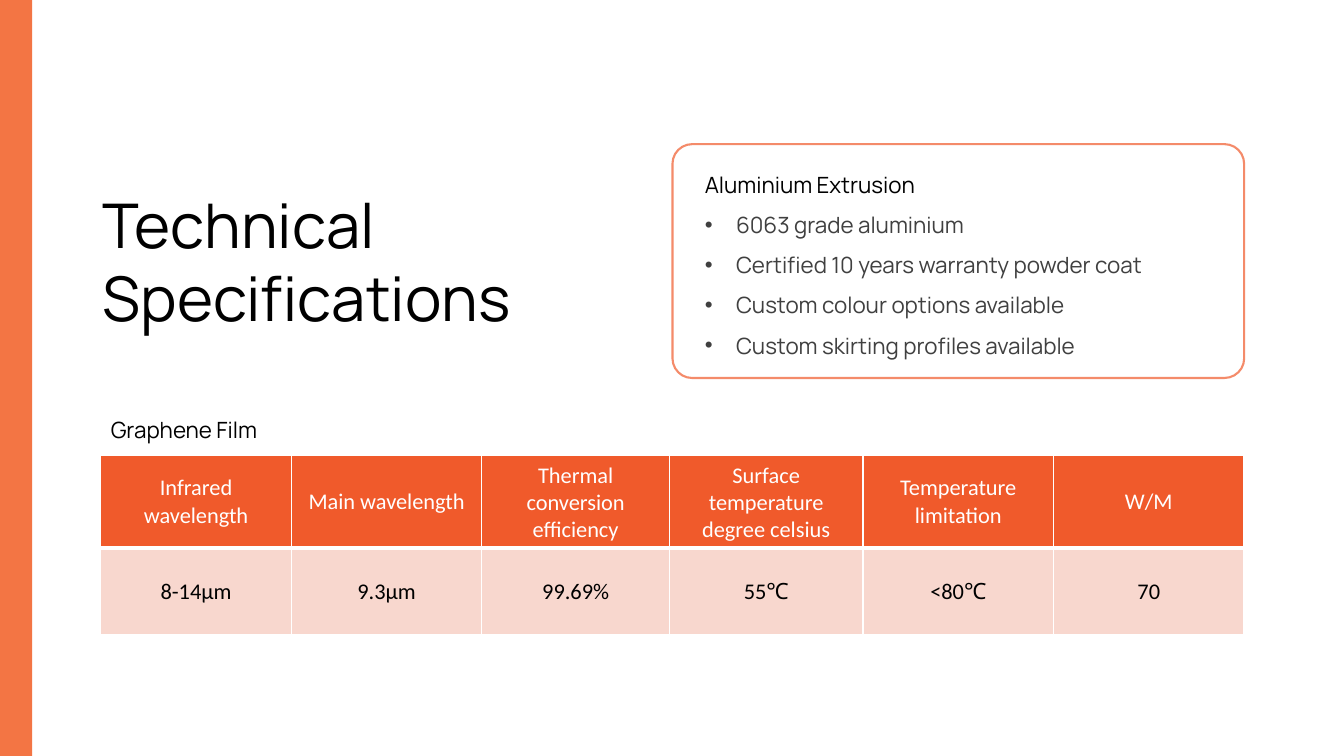
from dataclasses import dataclass

from lxml import etree
from pptx import Presentation
from pptx.dml.color import RGBColor
from pptx.enum.shapes import MSO_SHAPE
from pptx.enum.text import MSO_ANCHOR, MSO_AUTO_SIZE, PP_ALIGN
from pptx.oxml.ns import qn
from pptx.util import Inches, Pt

TOP, MIDDLE = MSO_ANCHOR.TOP, MSO_ANCHOR.MIDDLE
GROW = MSO_AUTO_SIZE.SHAPE_TO_FIT_TEXT
LEFT, CENTER = PP_ALIGN.LEFT, PP_ALIGN.CENTER
RECTANGLE, ROUNDED = MSO_SHAPE.RECTANGLE, MSO_SHAPE.ROUNDED_RECTANGLE


@dataclass(frozen=True)
class Theme:
    accent: str = "F05A2B"
    side: str = "F37544"
    tint: str = "F8D7CE"
    ink: str = "000000"
    soft_ink: str = "404040"
    paper: str = "FFFFFF"
    heading_font: str = "Manrope"
    table_font: str = "Calibri"
    title_size: int = 44
    body_size: int = 16


THEME = Theme()
EXTRUSION_POINTS = [
    "6063 grade aluminium",
    "Certified 10 years warranty powder coat",
    "Custom colour options available",
    "Custom skirting profiles available",
]
FILM_COLUMNS = [
    (1.89, "Infrared\nwavelength", "8-14μm"),
    (1.89, "Main wavelength", "9.3μm"),
    (1.86, "Thermal conversion\nefficiency", "99.69%"),
    (1.92, "Surface temperature\ndegree celsius", "55℃"),
    (1.89, "Temperature\nlimitation", "<80℃"),
    (1.89, "W/M", "70"),
]
FILM_ROWS = [
    (0.92, THEME.accent, THEME.paper, 3),
    (0.86, THEME.tint, THEME.ink, 1),
]


def rgb(code):
    return RGBColor.from_string(code)


def apply(target, formats):
    for attribute, value in formats.items():
        setattr(target, attribute, value)


def place(part, box):
    apply(part, dict(zip(("left", "top", "width", "height"), map(Inches, box))))


def style_frame(frame, anchor):
    apply(frame, {"word_wrap": True, "vertical_anchor": anchor, "auto_size": GROW})


def style_text(paragraph, color, size=THEME.body_size, font=THEME.heading_font,
               spacing=1.0, align=LEFT):
    apply(paragraph, {"alignment": align, "line_spacing": spacing,
                      "space_before": Pt(0), "space_after": Pt(0)})
    apply(paragraph.font, {"name": font, "size": Pt(size), "bold": False})
    paragraph.font.color.rgb = rgb(color)


def set_bullet(paragraph, symbol=None, indent=0.0):
    properties = paragraph._p.get_or_add_pPr()
    properties.set("marL", str(Inches(indent)))
    properties.set("indent", str(-Inches(indent)))
    if symbol:
        etree.SubElement(properties, qn("a:buChar"), char=symbol)
    else:
        etree.SubElement(properties, qn("a:buNone"))


def add_side_bar(slide, box):
    bar = slide.shapes.add_shape(RECTANGLE, *map(Inches, box))
    bar.shadow.inherit = False
    bar.fill.solid()
    bar.fill.fore_color.rgb = rgb(THEME.side)
    bar.line.fill.background()


def fill_title(slide, box):
    title = slide.shapes.title
    place(title, box)
    style_frame(title.text_frame, TOP)
    title.text_frame.text = "Technical\nSpecifications"
    for paragraph in title.text_frame.paragraphs:
        style_text(paragraph, THEME.ink, THEME.title_size)


def fill_extrusion_card(slide, box):
    left, top, width, height = box
    card = slide.shapes.add_shape(ROUNDED, *map(Inches, box))
    card.adjustments[0] = 0.084
    card.shadow.inherit = False
    card.fill.background()
    card.line.width = Pt(1.5)
    card.line.color.rgb = rgb(THEME.accent)
    outline_color = card.line._ln.find(".//" + qn("a:srgbClr"))
    etree.SubElement(outline_color, qn("a:alpha"), val="70000")

    body = slide.placeholders[1]
    place(body, (left + 0.22, top + 0.09, width - 0.45, height - 0.24))
    frame = body.text_frame
    style_frame(frame, MIDDLE)
    frame.text = "\n".join(["Aluminium Extrusion", *EXTRUSION_POINTS])
    heading, *points = frame.paragraphs
    set_bullet(heading)
    style_text(heading, THEME.ink, spacing=1.5)
    for point in points:
        set_bullet(point, "•", 0.31)
        style_text(point, THEME.soft_ink, spacing=1.5)


def add_cell_borders(cell, bottom_width):
    properties = cell._tc.get_or_add_tcPr()
    widths = {"a:lnL": 1, "a:lnR": 1, "a:lnT": 1, "a:lnB": bottom_width}
    for tag, width in widths.items():
        border = etree.SubElement(properties, qn(tag), w=str(Pt(width)))
        fill = etree.SubElement(border, qn("a:solidFill"))
        etree.SubElement(fill, qn("a:srgbClr"), val=THEME.paper)


def add_film_table(slide, box):
    left, top, width, height = box
    caption_height = 0.47
    caption = slide.shapes.add_textbox(
        *map(Inches, (left, top, 1.92, caption_height)))
    style_frame(caption.text_frame, MIDDLE)
    caption.text_frame.text = "Graphene Film"
    style_text(caption.text_frame.paragraphs[0], THEME.ink, spacing=1.5)

    table_top = top + caption_height + 0.09
    film = slide.shapes.add_table(
        len(FILM_ROWS), len(FILM_COLUMNS),
        *map(Inches, (left, table_top, width, top + height - table_top))).table
    for column, (column_width, *_) in zip(film.columns, FILM_COLUMNS):
        column.width = Inches(column_width)
    for r, (row_height, fill, ink, bottom_width) in enumerate(FILM_ROWS):
        film.rows[r].height = Inches(row_height)
        for c, (_, *texts) in enumerate(FILM_COLUMNS):
            cell = film.cell(r, c)
            apply(cell, {"text": texts[r], "vertical_anchor": MIDDLE,
                         "margin_left": Inches(0.13), "margin_right": Inches(0.13),
                         "margin_top": Inches(0.06), "margin_bottom": Inches(0.06)})
            add_cell_borders(cell, bottom_width)
            cell.fill.solid()
            cell.fill.fore_color.rgb = rgb(fill)
            for paragraph in cell.text_frame.paragraphs:
                style_text(paragraph, ink, font=THEME.table_font, align=CENTER)


def main():
    deck = Presentation()
    apply(deck, {"slide_width": Inches(13.33), "slide_height": Inches(7.5)})
    slide = deck.slides.add_slide(deck.slide_layouts[1])
    fill_title(slide, (0.92, 1.8, 5.26, 1.58))
    fill_extrusion_card(slide, (6.67, 1.43, 5.67, 2.32))
    add_film_table(slide, (1, 3.96, 11.34, 2.34))
    add_side_bar(slide, (0, 0, 0.32, 7.5))
    deck.save("out.pptx")


if __name__ == "__main__":
    main()
